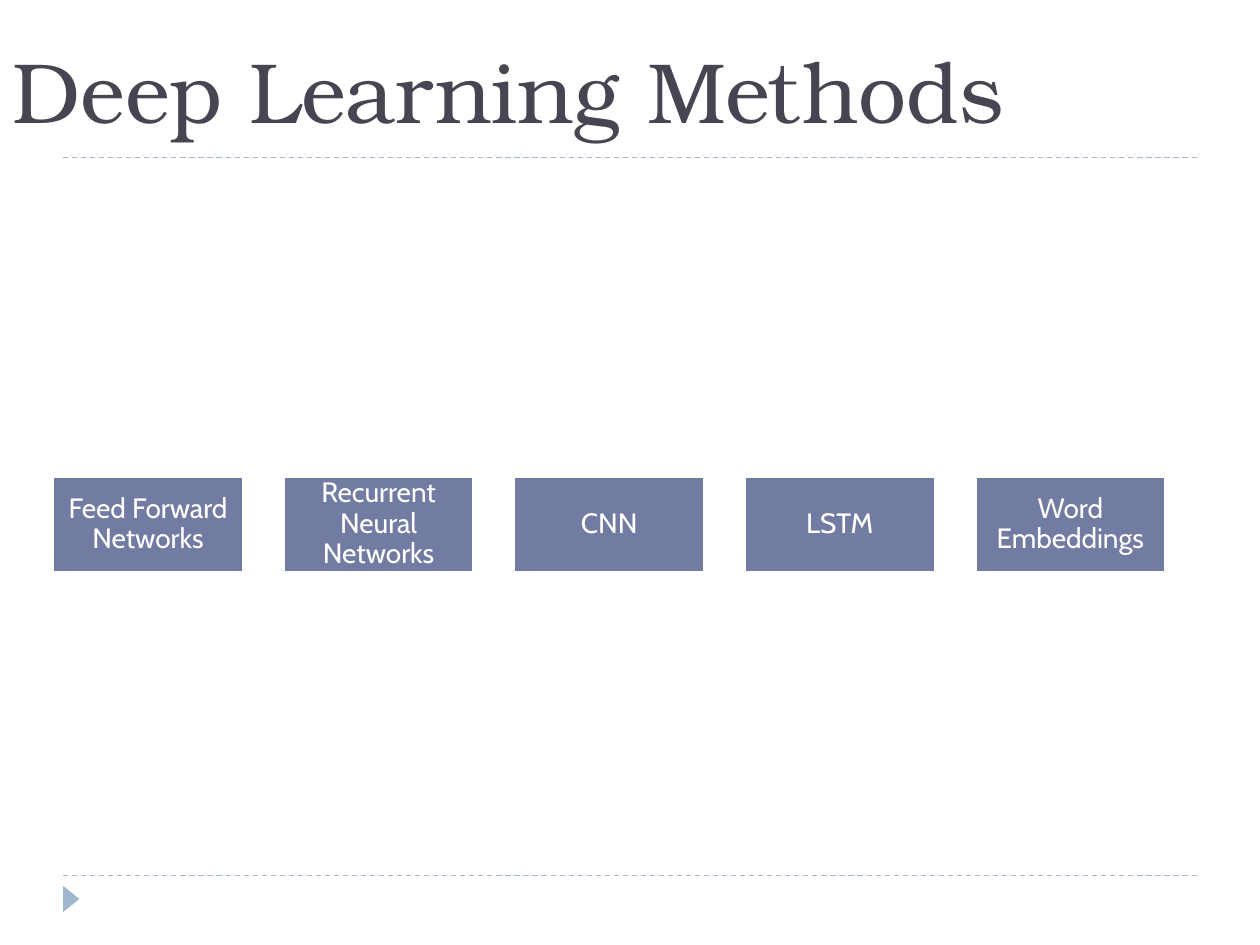
from lxml import etree
from pptx import Presentation
from pptx.dml.color import RGBColor
from pptx.enum.dml import MSO_LINE
from pptx.enum.shapes import MSO_CONNECTOR, MSO_SHAPE
from pptx.enum.text import MSO_ANCHOR, PP_ALIGN
from pptx.oxml.ns import qn
from pptx.util import Inches, Pt

RECT = MSO_SHAPE.RECTANGLE
TRIANGLE = MSO_SHAPE.ISOSCELES_TRIANGLE
STRAIGHT = MSO_CONNECTOR.STRAIGHT
DASH = MSO_LINE.DASH
LEFT, CENTER = PP_ALIGN.LEFT, PP_ALIGN.CENTER
TOP, MIDDLE = MSO_ANCHOR.TOP, MSO_ANCHOR.MIDDLE


def color(code):
    return RGBColor.from_string(code)


def write(frame, text, font="Cabin", size=16, ink="FFFFFF",
          align=LEFT, anchor=TOP, inset=None, spacing=None):
    frame.word_wrap = True
    frame.vertical_anchor = anchor
    if inset is not None:
        frame.margin_left = frame.margin_right = Inches(inset)
        frame.margin_top = frame.margin_bottom = Inches(inset)
    para = frame.paragraphs[0]
    para.alignment = align
    para.line_spacing = spacing
    run = para.add_run()
    run.text = text
    run.font.name = font
    run.font.size = Pt(size)
    run.font.color.rgb = color(ink)


class Deck:
    title_font = "TeX Gyre Bonum"
    dark = "464653"
    accent = "727CA3"
    pale = "9FB8CD"
    white = "FFFFFF"

    def __init__(self, slide):
        self.slide = slide

    def rule(self, y):
        line = self.slide.shapes.add_connector(
            STRAIGHT, Inches(0.5), Inches(y), Inches(9.5), Inches(y))
        line.line.color.rgb = color(self.pale)
        line.line.width = Pt(0.75)
        line.line.dash_style = DASH
        etree.SubElement(line._element.spPr, qn("a:effectLst"))

    def shape(self, kind, x, y, w, h, fill):
        shape = self.slide.shapes.add_shape(
            kind, Inches(x), Inches(y), Inches(w), Inches(h))
        shape.shadow.inherit = False
        shape.fill.solid()
        shape.fill.fore_color.rgb = color(fill)
        return shape

    def marker(self, x, y, w, h):
        mark = self.shape(TRIANGLE, x, y, w, h, self.pale)
        mark.line.fill.background()
        mark.rotation = 90

    def box(self, text, x, y, w, h):
        box = self.shape(RECT, x, y, w, h, self.accent)
        box.line.color.rgb = color(self.white)
        box.line.width = Pt(1.5)
        write(box.text_frame, text, ink=self.white, align=CENTER,
              anchor=MIDDLE, inset=0.01, spacing=0.9)

    def title(self, text, x, y, w, h):
        box = self.slide.shapes.add_textbox(
            Inches(x), Inches(y), Inches(w), Inches(h))
        write(box.text_frame, text, font=self.title_font, size=48.8,
              ink=self.dark)


def main():
    prs = Presentation()
    prs.slide_width, prs.slide_height = Inches(10), Inches(7.5)
    deck = Deck(prs.slides.add_slide(prs.slide_layouts[6]))

    for y in (6.95, 1.25):
        deck.rule(y)
    deck.marker(0.46, 7.07, 0.21, 0.13)

    methods = ["Feed Forward Networks", "Recurrent Neural Networks",
               "CNN", "LSTM", "Word Embeddings"]
    width, gap = 1.51, 0.32
    for i, name in enumerate(methods):
        deck.box(name, 0.42 + i * (width + gap), 3.78, width, 0.76)

    deck.title("Deep Learning Methods", 0, 0.25, 9.25, 1)
    prs.save("out.pptx")


if __name__ == "__main__":
    main()
